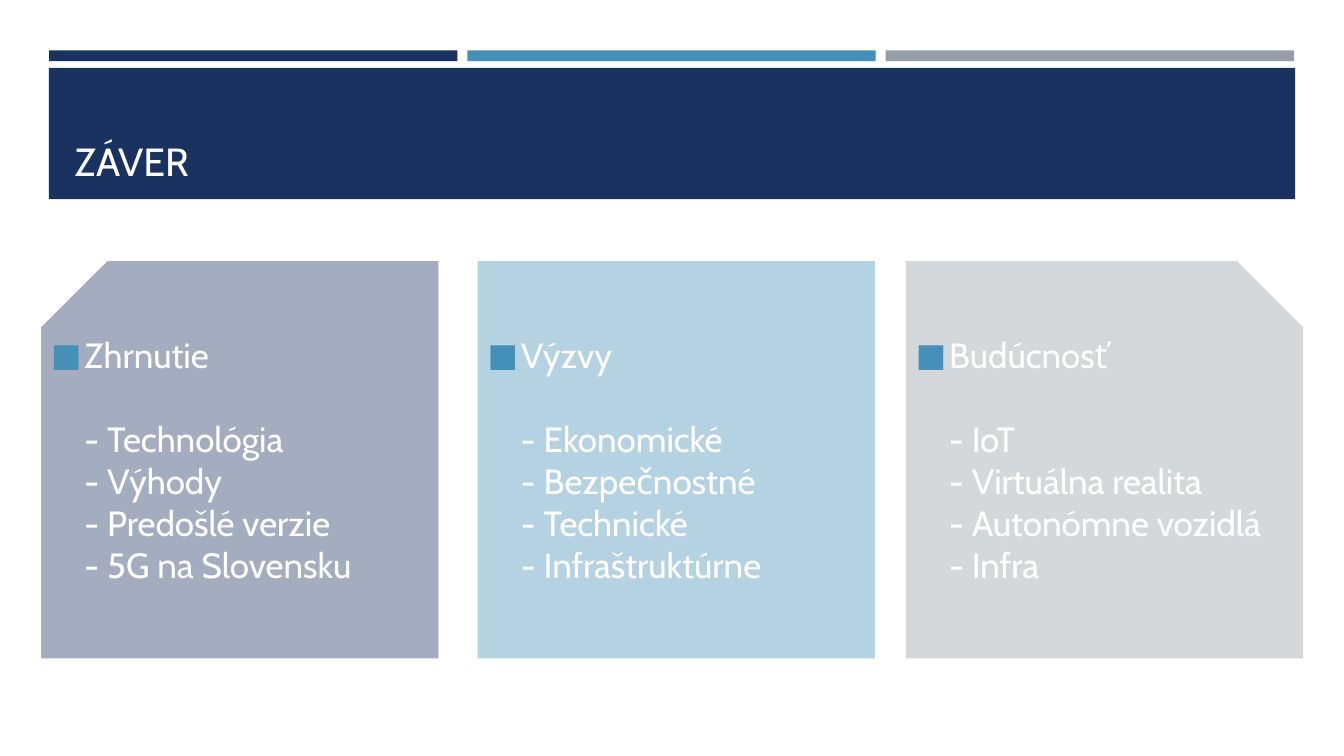
from lxml.etree import SubElement
from pptx import Presentation
from pptx.dml.color import RGBColor
from pptx.enum.shapes import MSO_SHAPE
from pptx.enum.text import MSO_ANCHOR, PP_ALIGN
from pptx.oxml.ns import qn
from pptx.util import Cm, Pt

# Content
NAVY, BLUE, GREY, WHITE = "1A3260", "4590B8", "969FA7", "FFFFFF"
FONT = "Cabin"
TITLE = "ZÁVER"
# heading, items, left edge in cm, colour, outline, mirrored
CARDS = [
    ("Zhrnutie",
     ["Technológia", "Výhody", "Predošlé verzie", "5G na Slovensku"],
     1.04, NAVY, MSO_SHAPE.SNIP_1_RECTANGLE, True),
    ("Výzvy",
     ["Ekonomické", "Bezpečnostné", "Technické", "Infraštruktúrne"],
     12.04, BLUE, MSO_SHAPE.RECTANGLE, False),
    ("Budúcnosť",
     ["IoT", "Virtuálna realita", "Autonómne vozidlá", "Infra"],
     22.83, GREY, MSO_SHAPE.SNIP_1_RECTANGLE, False),
]

# Layout in cm
BAR_LEFT, BAR_TOP, BAR_WIDTH, BAR_HEIGHT, BAR_STEP = 1.24, 1.27, 10.29, 0.27, 10.54
CARD_TOP, CARD_SIZE = 6.58, 10.01
INDENT = Cm(0.84)
BODY_SIZE = 25
LIST_GAP = 30

deck = Presentation()
deck.slide_width, deck.slide_height = Cm(33.87), Cm(19.05)
slide = deck.slides.add_slide(deck.slide_layouts[6])


def colour(value):
    return RGBColor.from_string(value)


def add_block(outline, box, fill, opacity=100):
    block = slide.shapes.add_shape(outline, *map(Cm, box))
    block.shadow.inherit = False
    block.fill.solid()
    block.fill.fore_color.rgb = colour(fill)
    block.line.fill.background()
    if opacity < 100:
        tint = block.fill._xPr.find(".//" + qn("a:srgbClr"))
        SubElement(tint, qn("a:alpha"), val=str(opacity * 1000))
    return block


def add_frame(box, anchor):
    frame = slide.shapes.add_textbox(*map(Cm, box)).text_frame
    frame.word_wrap = True
    frame.vertical_anchor = anchor
    return frame


def add_text(paragraph, text, size):
    paragraph.alignment = PP_ALIGN.LEFT
    run = paragraph.add_run()
    run.text = text
    run.font.name = FONT
    run.font.size = Pt(size)
    run.font.color.rgb = colour(WHITE)


def indent(paragraph, bullet=False):
    props = paragraph._p.get_or_add_pPr()
    props.set("marL", str(INDENT))
    props.set("indent", str(-INDENT if bullet else 0))
    if bullet:
        bullet_colour = SubElement(props, qn("a:buClr"))
        SubElement(bullet_colour, qn("a:srgbClr"), val=BLUE)
        SubElement(props, qn("a:buSzPct"), val="92000")
        SubElement(props, qn("a:buFont"), typeface=FONT)
        SubElement(props, qn("a:buChar"), char="■")
    else:
        SubElement(props, qn("a:buNone"))


# Accent bars and title band
for column, fill in enumerate([NAVY, BLUE, GREY]):
    left = BAR_LEFT + column * BAR_STEP
    add_block(MSO_SHAPE.RECTANGLE, (left, BAR_TOP, BAR_WIDTH, BAR_HEIGHT), fill)
add_block(MSO_SHAPE.RECTANGLE, (1.23, 1.71, 31.41, 3.31), NAVY)
title = add_frame((1.63, 1.96, 30.63, 2.82), MSO_ANCHOR.BOTTOM)
add_text(title.paragraphs[0], TITLE, 28)

# Cards
for heading, items, left, fill, outline, mirrored in CARDS:
    box = (left, CARD_TOP, CARD_SIZE, CARD_SIZE)
    card = add_block(outline, box, fill, opacity=40)
    if mirrored:
        card._element.spPr.find(qn("a:xfrm")).set("flipH", "1")

    body = add_frame(box, MSO_ANCHOR.MIDDLE)
    indent(body.paragraphs[0], bullet=True)
    add_text(body.paragraphs[0], heading, BODY_SIZE)
    for position, item in enumerate(items):
        line = body.add_paragraph()
        indent(line)
        if position == 0:
            line.space_before = Pt(LIST_GAP)
        add_text(line, f"- {item}", BODY_SIZE)

deck.save("out.pptx")
